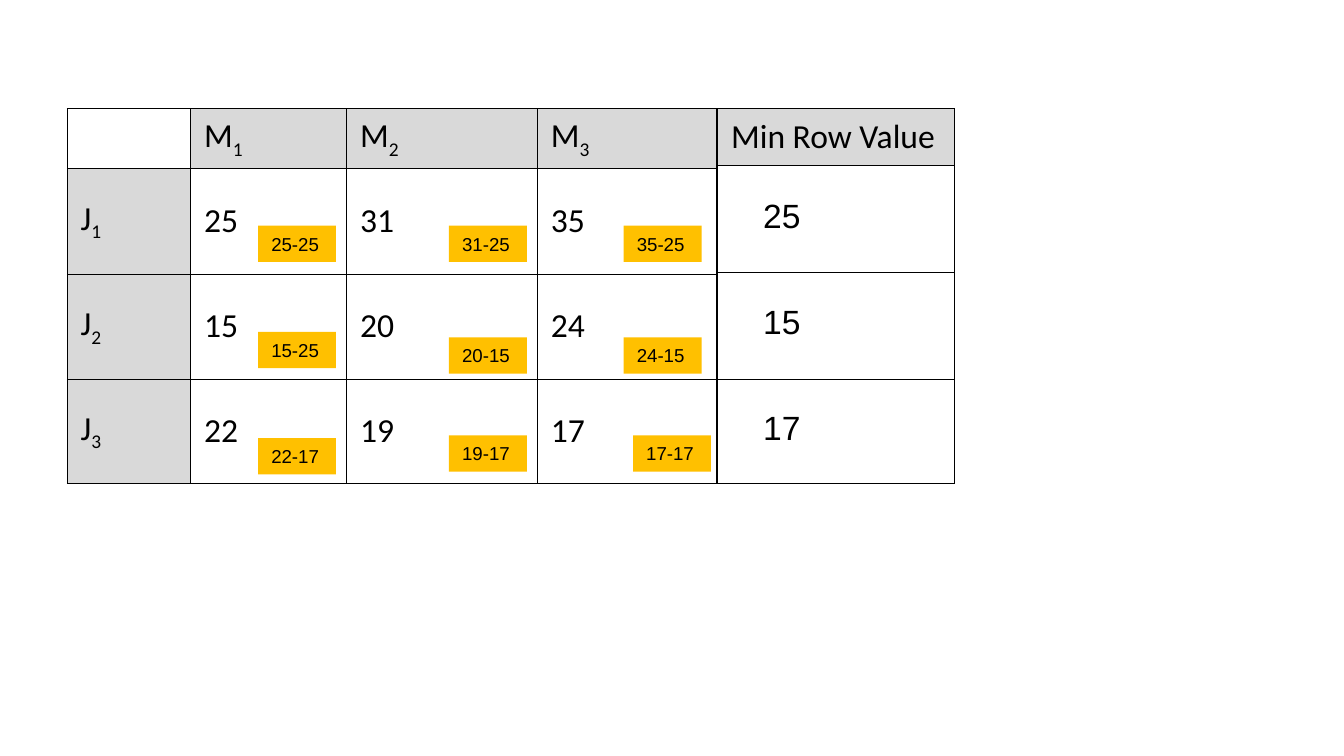
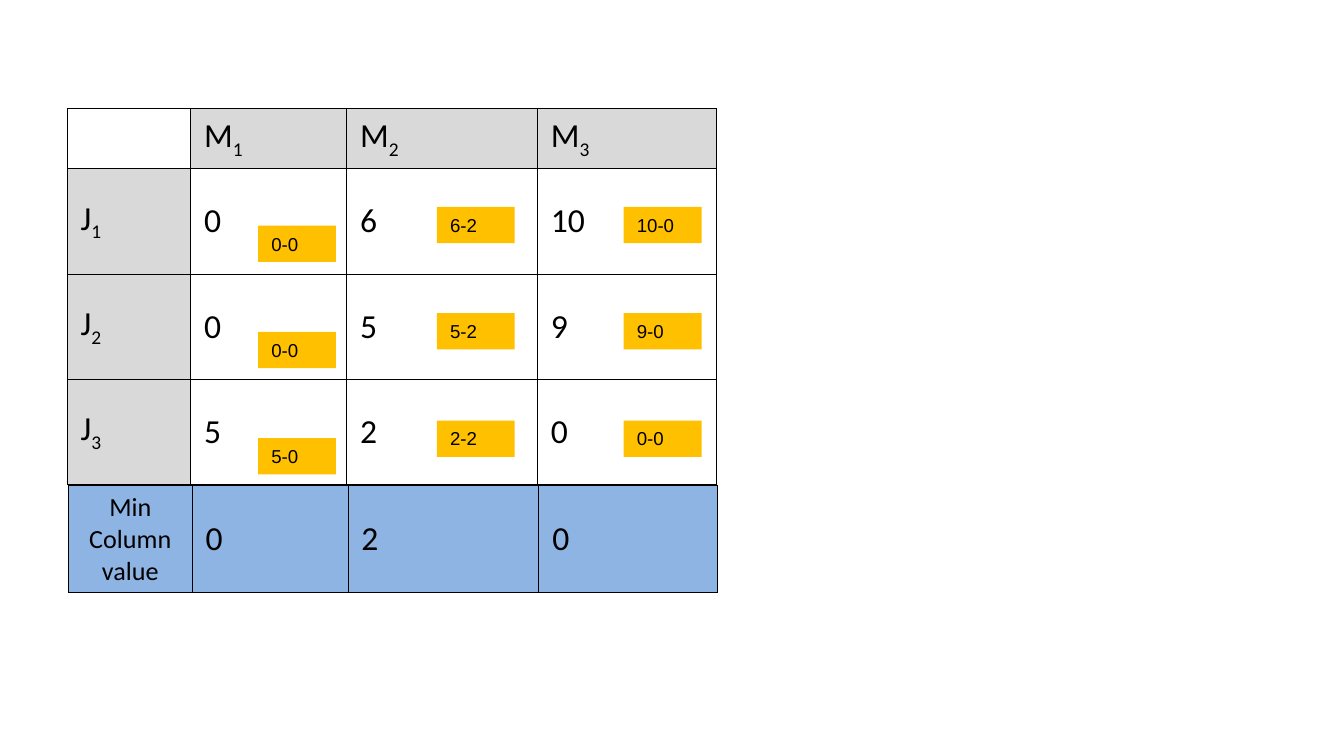
"""Build two slides on reducing an assignment matrix by rows and by columns."""
from dataclasses import dataclass

from lxml import etree
from pptx import Presentation
from pptx import util as u
from pptx.dml import color
from pptx.enum import shapes, text
from pptx.oxml import ns

COLORS = {"ink": "000000", "header": "D9D9D9", "minimum": "8EB4E3", "tag": "FFC000"}
MATRIX_COLUMNS = [0.92, 1.16, 1.42, 1.33]
MATRIX_ROWS = [0.44, 0.79, 0.78, 0.78]
MACHINES = ["M_1", "M_2", "M_3"]
JOBS = ["J_1", "J_2", "J_3"]
FIRST_TOPS = [1.68, 2.47, 3.26]
ROW_TOPS = [1.68, 2.51, 3.24]
COLUMN_TOPS = [1.54, 2.33, 3.13]


@dataclass
class Grid:
    """A bordered table; fills maps (row, column) to a colour name."""

    left: float
    top: float
    columns: list[float]
    rows: list[float]
    cells: list[list[str]]
    fills: dict[tuple[int, int], str]


@dataclass
class TagColumn:
    """A column of subtraction tags."""

    left: float
    tops: list[float]
    labels: list[str]


def rgb(name: str) -> color.RGBColor:
    """Look up a named colour."""
    return color.RGBColor.from_string(COLORS[name])


def format_run(run, size: float, font: str) -> None:
    """Set the size, typeface and colour of a run."""
    run.font.size = u.Pt(size)
    run.font.name = font
    run.font.color.rgb = rgb("ink")


def add_borders(cell) -> None:
    """Draw a thin line on each side of a cell."""
    properties = cell._tc.get_or_add_tcPr()
    for index, side in enumerate(("lnL", "lnR", "lnT", "lnB")):
        line = etree.Element(ns.qn(f"a:{side}"), w=str(u.Pt(0.45)))
        fill = etree.SubElement(line, ns.qn("a:solidFill"))
        etree.SubElement(fill, ns.qn("a:srgbClr"), val=COLORS["ink"])
        properties.insert(index, line)


def write_cell(cell, label: str, size: float = 18) -> None:
    """Write a label, setting what follows an underscore as subscript."""
    base, _, subscript = label.partition("_")
    paragraph = cell.text_frame.paragraphs[0]
    paragraph.text = base
    if subscript:
        run = paragraph.add_run()
        run.text = subscript
        run._r.get_or_add_rPr().set("baseline", "-25000")
    for run in paragraph.runs:
        format_run(run, size, "Calibri")


def add_grid(slide, grid: Grid):
    """Add a table and return it."""
    table = slide.shapes.add_table(
        len(grid.rows), len(grid.columns), u.Inches(grid.left), u.Inches(grid.top),
        u.Inches(sum(grid.columns)), u.Inches(sum(grid.rows))).table
    table.first_row = table.horz_banding = False
    for column, width in zip(table.columns, grid.columns):
        column.width = u.Inches(width)
    for row, height in zip(table.rows, grid.rows):
        row.height = u.Inches(height)
    for row_index, labels in enumerate(grid.cells):
        for column_index, label in enumerate(labels):
            cell = table.cell(row_index, column_index)
            cell.vertical_anchor = text.MSO_ANCHOR.MIDDLE
            fill = grid.fills.get((row_index, column_index))
            if fill:
                cell.fill.solid()
                cell.fill.fore_color.rgb = rgb(fill)
            else:
                cell.fill.background()
            add_borders(cell)
            if label:
                write_cell(cell, label)
    return table


def add_matrix(slide, values: list[list[str]]) -> None:
    """Add the job and machine matrix."""
    cells = [["", *MACHINES]] + [[job, *row] for job, row in zip(JOBS, values)]
    headers = [(0, index) for index in range(1, 4)] + [(index, 0) for index in range(1, 4)]
    add_grid(slide, Grid(0.5, 0.81, MATRIX_COLUMNS, MATRIX_ROWS, cells,
                         dict.fromkeys(headers, "header")))


def write_label(shape, label: str, size: float) -> None:
    """Write left-aligned text into a shape that grows with it."""
    frame = shape.text_frame
    frame.text = label
    frame.word_wrap = True
    frame.auto_size = text.MSO_AUTO_SIZE.SHAPE_TO_FIT_TEXT
    frame.vertical_anchor = text.MSO_ANCHOR.TOP
    paragraph = frame.paragraphs[0]
    paragraph.alignment = text.PP_ALIGN.LEFT
    format_run(paragraph.runs[0], size, "Arial")


def add_tags(slide, tag_columns: list[TagColumn]) -> None:
    """Add the subtraction tags over the matrix."""
    for tags in tag_columns:
        for top, label in zip(tags.tops, tags.labels):
            shape = slide.shapes.add_shape(
                shapes.MSO_SHAPE.RECTANGLE, u.Inches(tags.left), u.Inches(top),
                u.Inches(0.58), u.Inches(0.27))
            shape.shadow.inherit = False
            shape.fill.solid()
            shape.fill.fore_color.rgb = rgb("tag")
            shape.line.fill.background()
            write_label(shape, label, 10)


def build_row_slide(slide) -> None:
    """Show the minimum of each row and its subtraction."""
    add_matrix(slide, [["25", "31", "35"], ["15", "20", "24"], ["22", "19", "17"]])
    for top, width, minimum in [(1.4, 0.75, "25"), (2.19, 0.58, "15"), (2.98, 0.58, "17")]:
        box = slide.shapes.add_textbox(
            u.Inches(5.58), u.Inches(top), u.Inches(width), u.Inches(0.4))
        write_label(box, minimum, 18)
    add_grid(slide, Grid(5.34, 0.81, [1.76], [0.42, 0.8, 0.79, 0.78],
                         [["Min Row Value"], [""], [""], [""]], {(0, 0): "header"}))
    add_tags(slide, [
        TagColumn(1.92, FIRST_TOPS, ["25-25", "15-25", "22-17"]),
        TagColumn(3.34, ROW_TOPS, ["31-25", "20-15", "19-17"]),
        TagColumn(4.64, ROW_TOPS[:2], ["35-25", "24-15"]),
        TagColumn(4.71, ROW_TOPS[2:], ["17-17"]),
    ])


def build_column_slide(slide) -> None:
    """Show the minimum of each column and its subtraction."""
    add_matrix(slide, [["0", "6", "10"], ["0", "5", "9"], ["5", "2", "0"]])
    minimums = add_grid(slide, Grid(
        0.51, 3.61, MATRIX_COLUMNS, [0.8], [["", "0", "2", "0"]],
        {(0, index): "minimum" for index in range(4)}))
    heading = minimums.cell(0, 0)
    write_cell(heading, "Min Column value", 14)
    heading.text_frame.paragraphs[0].alignment = text.PP_ALIGN.CENTER
    add_tags(slide, [
        TagColumn(1.92, FIRST_TOPS, ["0-0", "0-0", "5-0"]),
        TagColumn(3.25, COLUMN_TOPS, ["6-2", "5-2", "2-2"]),
        TagColumn(4.64, COLUMN_TOPS, ["10-0", "9-0", "0-0"]),
    ])


def main() -> None:
    """Build and save the presentation."""
    presentation = Presentation()
    presentation.slide_width = u.Inches(10)
    presentation.slide_height = presentation.slide_width * 9 // 16
    blank_layout = presentation.slide_layouts[6]
    for build in (build_row_slide, build_column_slide):
        build(presentation.slides.add_slide(blank_layout))
    presentation.save("out.pptx")


if __name__ == "__main__":
    main()
